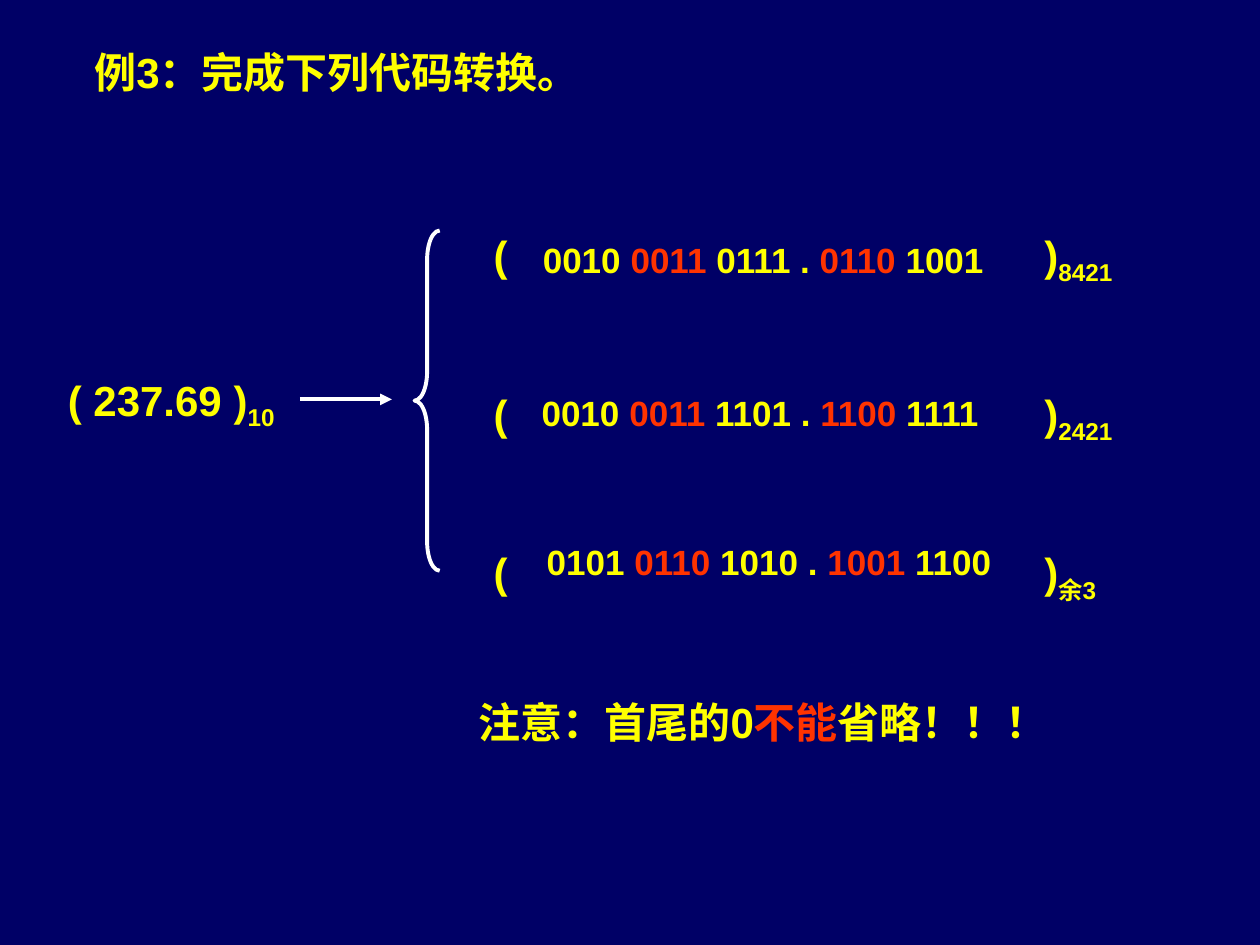
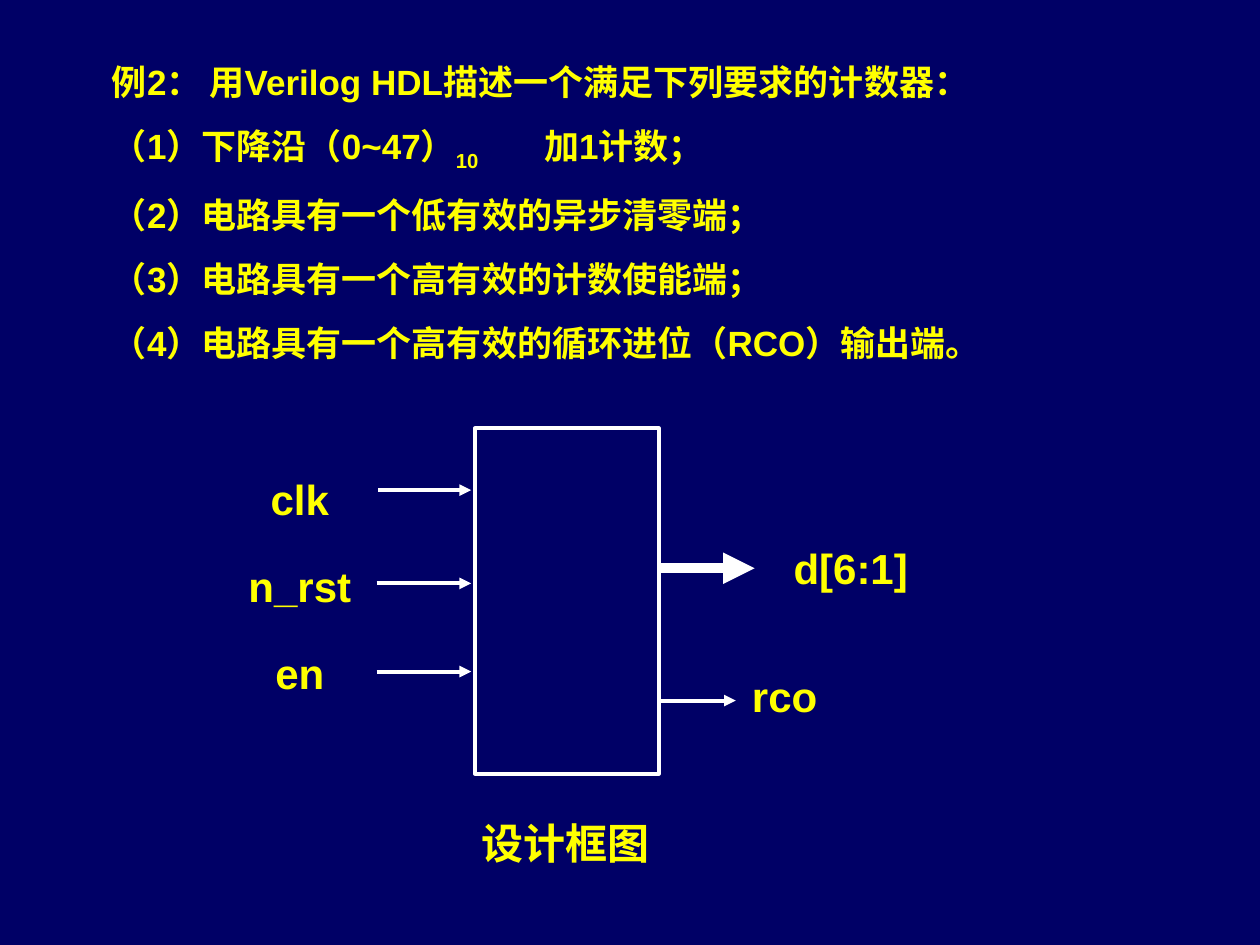
from dataclasses import dataclass
from itertools import cycle
from typing import NamedTuple

from lxml.etree import SubElement
from pptx import Presentation
from pptx.dml.color import RGBColor as Rgb
from pptx.enum.shapes import MSO_CONNECTOR as Connector, MSO_SHAPE as Preset
from pptx.enum.text import MSO_AUTO_SIZE as AutoSize, PP_ALIGN as Align
from pptx.oxml.ns import qn
from pptx.slide import Slide
from pptx.util import Pt

PX = 9144  # EMU; 100 px to the inch
COLORS = {"page": "000066", "text": "FFFF00", "accent": "FF3300", "line": "FFFFFF"}
FONT = {"name": "Arial", "bold": True}
LINE_WIDTH = 2.25
LARGE, SMALL = 24, 20
SPACE_RATIO = 0.625  # space before a paragraph, as a part of the text size


class Span(NamedTuple):
    text: str
    color: str = "text"
    subscript: bool = False


@dataclass
class TextBox:
    left: int
    top: int
    width: int
    height: int
    paras: list[list[Span]]
    size: int = LARGE
    align: Align = Align.LEFT
    line_spacing: float = 1.0
    gap: float = 0  # space before every paragraph after the first
    tab: int = 0


class Arrow(NamedTuple):
    left: int
    right: int
    y: int
    weight: float = LINE_WIDTH


def color(name: str) -> Rgb:
    return Rgb.from_string(COLORS[name])


def plain(*lines: str) -> list[list[Span]]:
    return [[Span(line)] for line in lines]


def two_tone(text: str) -> list[Span]:
    """Split at each bar and alternate text and accent colours."""
    return [Span(part, tone) for part, tone in zip(text.split("|"), cycle(("text", "accent")))]


def with_base(text: str, base: str) -> list[Span]:
    return [Span(text), Span(base, subscript=True)]


def add_page(deck: Presentation) -> Slide:
    page = deck.slides.add_slide(deck.slide_layouts[6])
    page.background.fill.solid()
    page.background.fill.fore_color.rgb = color("page")
    return page


def add_text(page: Slide, box: TextBox) -> None:
    bounds = (box.left, box.top, box.width, box.height)
    frame = page.shapes.add_textbox(*(n * PX for n in bounds)).text_frame
    frame.word_wrap = True
    frame.auto_size = AutoSize.SHAPE_TO_FIT_TEXT
    for index, spans in enumerate(box.paras):
        para = frame.add_paragraph() if index else frame.paragraphs[0]
        space = box.gap if index and box.gap else box.size * SPACE_RATIO
        layout = {"alignment": box.align, "line_spacing": box.line_spacing,
                  "space_before": Pt(space)}
        for key, value in layout.items():
            setattr(para, key, value)
        if box.tab:
            tabs = SubElement(para._p.get_or_add_pPr(), qn("a:tabLst"))
            SubElement(tabs, qn("a:tab"), pos=str(box.tab * PX), algn="l")
        for span in spans:
            run = para.add_run()
            run.text = span.text
            for key, value in (FONT | {"size": Pt(box.size)}).items():
                setattr(run.font, key, value)
            run.font.color.rgb = color(span.color)
            if span.subscript:
                run._r.get_or_add_rPr().set("baseline", "-25000")


def add_arrow(page: Slide, arrow: Arrow) -> None:
    ends = (arrow.left, arrow.y, arrow.right, arrow.y)
    line = page.shapes.add_connector(Connector.STRAIGHT, *(n * PX for n in ends))
    line.line.color.rgb = color("line")
    line.line.width = Pt(arrow.weight)
    SubElement(line.line._get_or_add_ln(), qn("a:tailEnd"), type="triangle")
    SubElement(line._element.spPr, qn("a:effectLst"))


def add_outline(page: Slide, preset: Preset, left: int, top: int, width: int,
                height: int, adjustments: tuple[float, ...] = ()) -> None:
    shape = page.shapes.add_shape(preset, *(n * PX for n in (left, top, width, height)))
    for index, value in enumerate(adjustments):
        shape.adjustments[index] = value
    shape.shadow.inherit = False
    shape.fill.background()
    shape.line.color.rgb = color("line")
    shape.line.width = Pt(LINE_WIDTH)


def build_code_conversion(deck: Presentation) -> None:
    page = add_page(deck)
    add_text(page, TextBox(65, 32, 791, 50, plain("例3：完成下列代码转换。")))
    add_text(page, TextBox(44, 292, 200, 56, [with_base("( 237.69 )", "10")]))
    add_arrow(page, Arrow(238, 311, 317))
    add_outline(page, Preset.LEFT_BRACE, 329, 183, 20, 270, (1.15, 0.5))
    brackets = [with_base("(\t)", base) for base in ("8421", "2421", "余3")]
    add_text(page, TextBox(382, 177, 555, 310, brackets, gap=58, tab=437))
    codes = (
        (421, 184, "0010 |0011| 0111 . |0110| 1001"),
        (420, 306, "0010 |0011| 1101 . |1100| 1111"),
        (424, 424, "0101 |0110| 1010 . |1001| 1100"),
    )
    for left, top, code in codes:
        add_text(page, TextBox(left, top, 380, 44, [two_tone(code)], SMALL))
    add_text(page, TextBox(370, 548, 489, 50, [two_tone("注意：首尾的0|不能|省略！！！")]))


def build_counter_design(deck: Presentation) -> None:
    page = add_page(deck)
    requirements = plain(
        "例2： 用Verilog HDL描述一个满足下列要求的计数器：",
        "（2）电路具有一个低有效的异步清零端；",
        "（3）电路具有一个高有效的计数使能端；",
        "（4）电路具有一个高有效的循环进位（RCO）输出端。",
    )
    requirements.insert(1, with_base("（1）下降沿（0~47）", "10\t") + [Span("加1计数；")])
    add_text(page, TextBox(79, 43, 805, 251, requirements, SMALL, tab=343))

    add_outline(page, Preset.RECTANGLE, 377, 340, 146, 274)
    inputs = [Arrow(300, 374, 389), Arrow(299, 374, 463), Arrow(299, 374, 533)]
    outputs = [Arrow(524, 599, 451, 6), Arrow(524, 584, 556)]
    for arrow in inputs + outputs:
        add_arrow(page, arrow)

    add_text(page, TextBox(173, 363, 130, 196, plain("clk", "n_rst", "en"),
                           align=Align.CENTER, line_spacing=1.2))
    add_text(page, TextBox(620, 426, 123, 50, plain("d[6:1]")))
    add_text(page, TextBox(587, 527, 77, 50, plain("rco")))
    add_text(page, TextBox(354, 644, 189, 50, plain("设计框图"), align=Align.CENTER))


def main() -> None:
    deck = Presentation()
    deck.slide_width, deck.slide_height = 1000 * PX, 750 * PX
    build_code_conversion(deck)
    build_counter_design(deck)
    deck.save("out.pptx")


if __name__ == "__main__":
    main()
